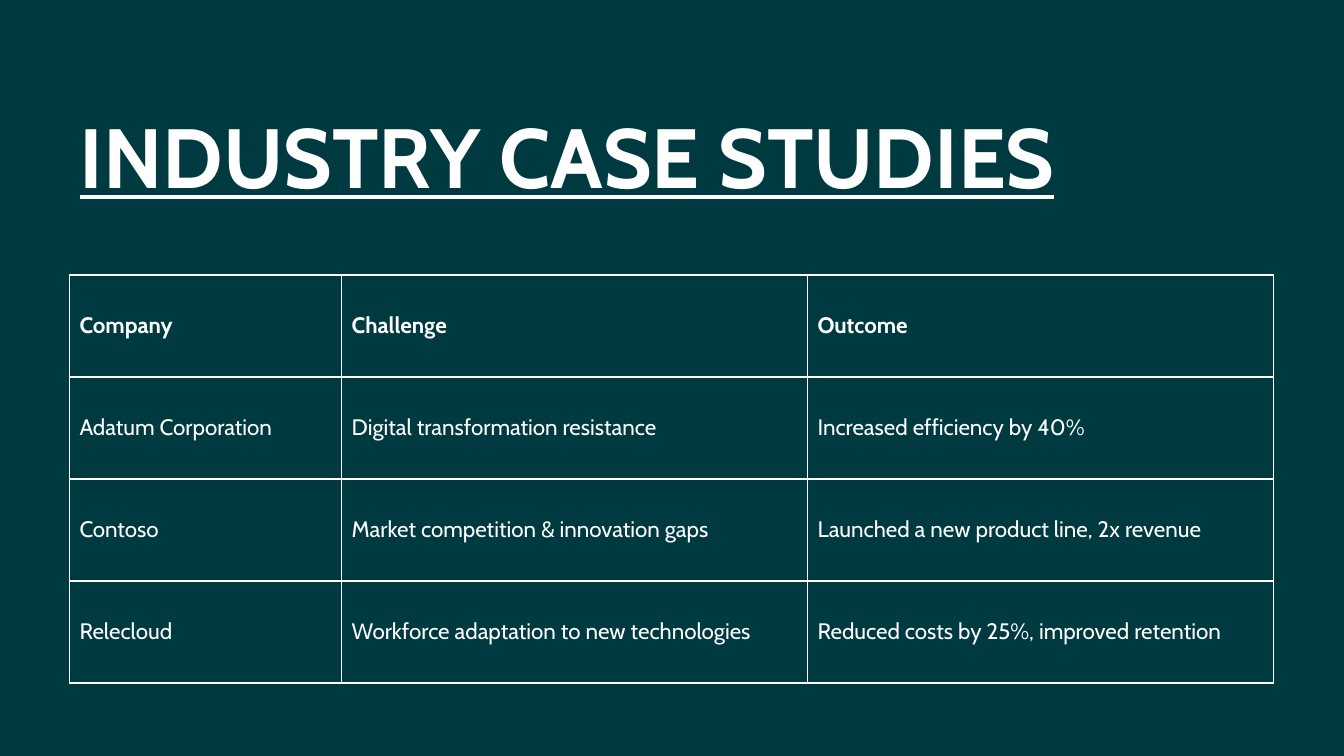
from pptx import Presentation
from pptx.dml.color import RGBColor
from pptx.enum.text import MSO_ANCHOR, MSO_AUTO_SIZE, PP_ALIGN
from pptx.oxml import parse_xml
from pptx.oxml.ns import nsdecls
from pptx.util import Cm, Pt

FONT = "Cabin"
TEAL = "003A41"
WHITE = "FFFFFF"
LEFT = Cm(1.75)
COLUMN_WIDTHS = [Cm(6.86), Cm(11.74), Cm(11.74)]
ROW_HEIGHT = Cm(2.57)
CASES = [
    ["Company", "Challenge", "Outcome"],
    ["Adatum Corporation", "Digital transformation resistance", "Increased efficiency by 40%"],
    ["Contoso", "Market competition & innovation gaps", "Launched a new product line, 2x revenue"],
    ["Relecloud", "Workforce adaptation to new technologies", "Reduced costs by 25%, improved retention"],
]


def color(hex_value):
    return RGBColor.from_string(hex_value)


def write(tf, text, size=16, bold=False, underline=False, spacing=1.0):
    p = tf.paragraphs[0]
    p.alignment = PP_ALIGN.LEFT
    p.line_spacing = spacing
    r = p.add_run()
    r.text = text
    r.font.name = FONT
    r.font.size = Pt(size)
    r.font.bold = bold
    r.font.underline = underline
    r.font.color.rgb = color(WHITE)


def set_title(s, text):
    sp = s.shapes.title
    sp.left, sp.top, sp.width, sp.height = LEFT, Cm(2.79), Cm(30.35), Cm(3.12)
    tf = sp.text_frame
    tf.word_wrap = True
    tf.auto_size = MSO_AUTO_SIZE.NONE
    tf.vertical_anchor = MSO_ANCHOR.TOP
    write(tf, text, size=60, bold=True, underline=True, spacing=0.9)


def add_borders(cell, hex_value, width):
    tcPr = cell._tc.get_or_add_tcPr()
    for i, side in enumerate(("lnL", "lnR", "lnT", "lnB")):
        tcPr.insert(i, parse_xml(
            f'<a:{side} {nsdecls("a")} w="{Pt(width)}"><a:solidFill>'
            f'<a:srgbClr val="{hex_value}"/></a:solidFill></a:{side}>'))


def add_case_table(s, rows):
    table = s.shapes.add_table(len(rows), len(COLUMN_WIDTHS), LEFT, Cm(6.93),
                               sum(COLUMN_WIDTHS), ROW_HEIGHT * len(rows)).table
    table.horz_banding = False
    for column, width in zip(table.columns, COLUMN_WIDTHS):
        column.width = width
    for i, row in enumerate(rows):
        table.rows[i].height = ROW_HEIGHT
        for j, text in enumerate(row):
            cell = table.cell(i, j)
            cell.fill.background()
            cell.vertical_anchor = MSO_ANCHOR.MIDDLE
            add_borders(cell, WHITE, 1)
            write(cell.text_frame, text, bold=i == 0)


def main():
    prs = Presentation()
    prs.slide_width, prs.slide_height = Cm(33.87), Cm(19.05)
    s = prs.slides.add_slide(prs.slide_layouts.get_by_name("Title Only"))
    s.background.fill.solid()
    s.background.fill.fore_color.rgb = color(TEAL)
    set_title(s, "INDUSTRY CASE STUDIES")
    add_case_table(s, CASES)
    prs.save("out.pptx")


if __name__ == "__main__":
    main()
